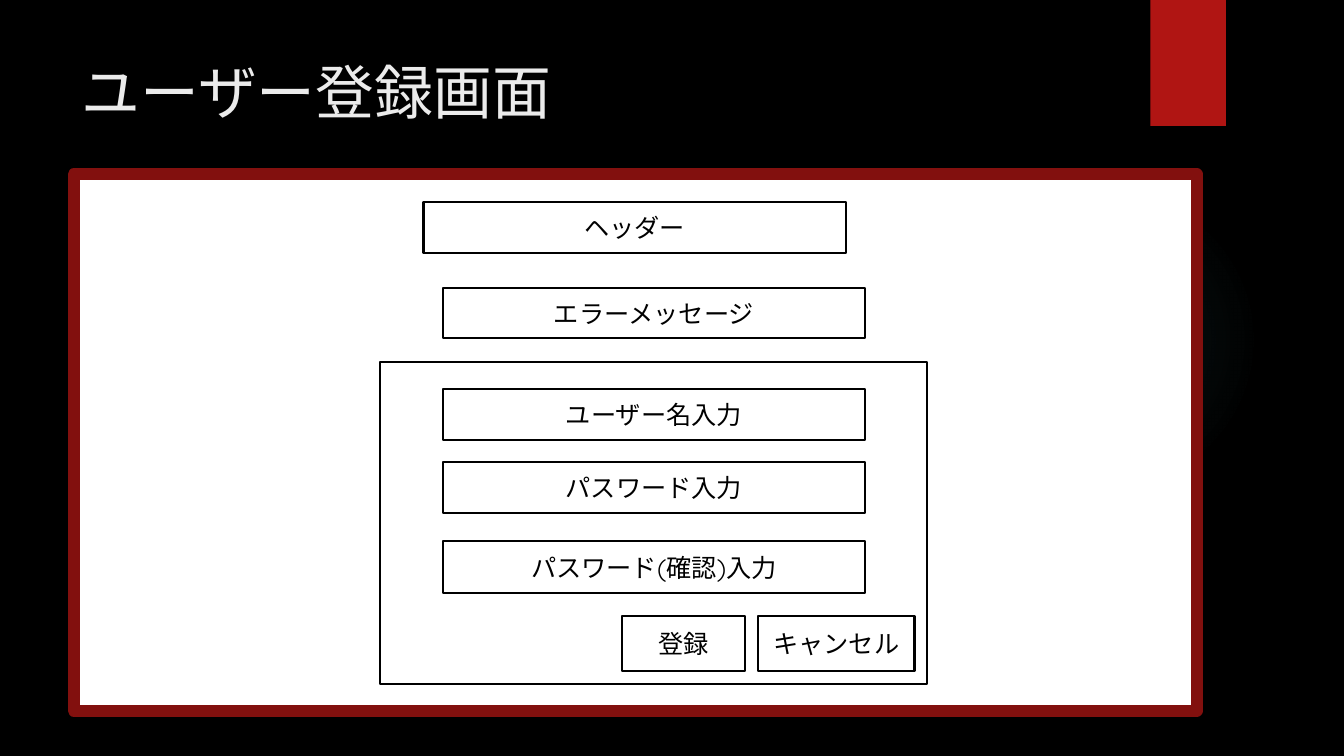
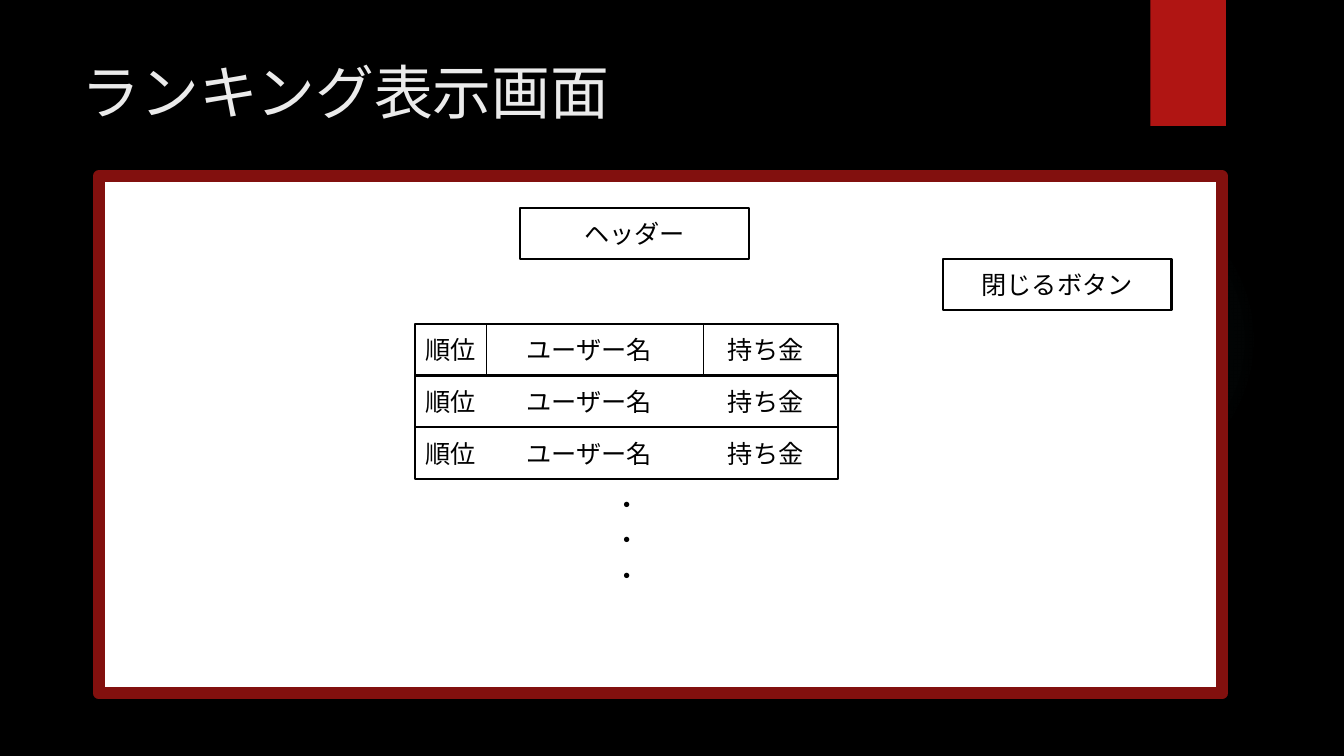
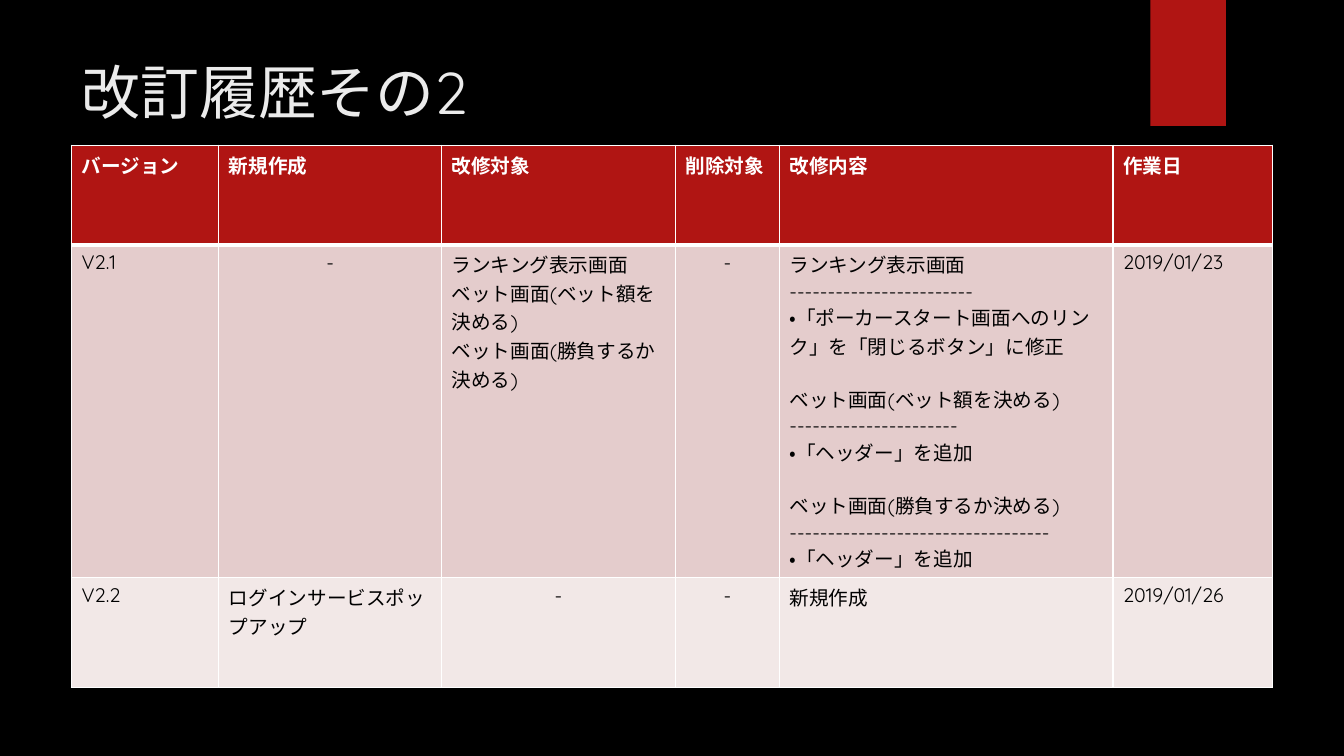
import pptx
import pptx.dml.color
import pptx.enum.dml
import pptx.enum.lang
import pptx.enum.shapes
import pptx.enum.text
import pptx.oxml
import pptx.oxml.ns
import pptx.util
from pptx.util import Inches

COLORS = {
    "background": "000000", "title": "EBEBEB", "band": "B01513",
    "frame": "82100E", "white": "FFFFFF", "ink": "000000",
    "glow": "50B9C1", "row_dark": "E4CCCC", "row_light": "F2E8E7",
}
FONT = "Quicksand"
NAMESPACE = pptx.oxml.ns.nsdecls("a")
SHAPES = pptx.enum.shapes.MSO_SHAPE
ALIGN = pptx.enum.text.PP_ALIGN
MIDDLE = pptx.enum.text.MSO_ANCHOR.MIDDLE


def rgb(color):
    return pptx.dml.color.RGBColor.from_string(COLORS[color])


class Deck:
    """Holds the shared style and the slide being built."""

    def __init__(self):
        self.presentation = pptx.Presentation()
        self.presentation.slide_width = Inches(13.33)
        self.presentation.slide_height = Inches(7.5)
        fill = self.presentation.slide_master.background.fill
        fill.solid()
        fill.fore_color.rgb = rgb("background")
        self.slide = None

    def new_slide(self, title):
        layout = self.presentation.slide_layouts.get_by_name("Title Only")
        self.slide = self.presentation.slides.add_slide(layout)
        self.glow(9.41, 1.83, 3.08)
        self.shape(11.41, 0, 0.75, 1.25, fill="band")
        placeholder = self.slide.shapes.title
        placeholder.left, placeholder.top = Inches(0.71), Inches(0.5)
        placeholder.width, placeholder.height = Inches(10.29), Inches(1.53)
        frame = placeholder.text_frame
        frame.auto_size = pptx.enum.text.MSO_AUTO_SIZE.NONE
        frame.vertical_anchor = pptx.enum.text.MSO_ANCHOR.TOP
        paragraph = frame.paragraphs[0]
        paragraph.alignment = ALIGN.LEFT
        self.run(paragraph, title, 42, "title")

    def run(self, paragraph, text, size=18, color="ink", bold=False):
        run = paragraph.add_run()
        run.text = text
        font = run.font
        font.name, font.size, font.bold = FONT, pptx.util.Pt(size), bold
        font.color.rgb = rgb(color)
        font.language_id = pptx.enum.lang.MSO_LANGUAGE_ID.JAPANESE

    def shape(self, left, top, width, height, fill=None, line=None,
              line_width=1.5, kind=SHAPES.RECTANGLE):
        shape = self.slide.shapes.add_shape(
            kind, Inches(left), Inches(top), Inches(width), Inches(height))
        shape.shadow.inherit = False
        if fill:
            shape.fill.solid()
            shape.fill.fore_color.rgb = rgb(fill)
        else:
            shape.fill.background()
        if line:
            shape.line.color.rgb = rgb(line)
            shape.line.width = pptx.util.Pt(line_width)
        else:
            shape.line.fill.background()
        return shape

    def glow(self, left, top, size):
        """Faint round light, fading out from its centre."""
        shape = self.shape(left, top, size, size, kind=SHAPES.OVAL)
        stops = "".join(
            f'<a:gs pos="{position}000"><a:srgbClr val="{COLORS["glow"]}">'
            f'<a:alpha val="{alpha}000"/></a:srgbClr></a:gs>'
            for position, alpha in ((0, 7), (36, 6), (69, 0), (100, 0)))
        gradient = pptx.oxml.parse_xml(
            f'<a:gradFill {NAMESPACE}><a:gsLst>{stops}</a:gsLst>'
            '<a:path path="circle"><a:fillToRect l="50000" t="50000" '
            'r="50000" b="50000"/></a:path></a:gradFill>')
        properties = shape.element.spPr
        properties.replace(
            properties.find(pptx.oxml.ns.qn("a:noFill")), gradient)

    def screen(self, left, top, width, height):
        self.shape(left, top, width, height, "white", "frame", 8.5)

    def box(self, left, top, width, height, text):
        shape = self.shape(left, top, width, height, line="ink")
        self.label(shape, text, ALIGN.CENTER)

    def label(self, shape, text, alignment):
        frame = shape.text_frame
        frame.word_wrap = True
        frame.vertical_anchor = MIDDLE
        paragraph = frame.paragraphs[0]
        paragraph.alignment = alignment
        self.run(paragraph, text)
        return paragraph

    def text(self, left, top, width, height, text):
        box = self.slide.shapes.add_textbox(
            Inches(left), Inches(top), Inches(width), Inches(height))
        self.label(box, text, ALIGN.CENTER)

    def tabbed_row(self, left, top, width, height, entries, stops):
        shape = self.shape(left, top, width, height, line="ink")
        paragraph = self.label(shape, "\t".join(entries), ALIGN.LEFT)
        tabs = "".join(f'<a:tab pos="{Inches(stop)}" algn="l"/>'
                       for stop in stops)
        paragraph._p.get_or_add_pPr().append(pptx.oxml.parse_xml(
            f'<a:tabLst {NAMESPACE}>{tabs}</a:tabLst>'))

    def vertical_line(self, x, top, bottom):
        line = self.slide.shapes.add_connector(
            pptx.enum.shapes.MSO_CONNECTOR.STRAIGHT,
            Inches(x), Inches(top), Inches(x), Inches(bottom))
        line.line.color.rgb = rgb("ink")
        line.line.width = pptx.util.Pt(0.75)
        line.element.spPr.append(
            pptx.oxml.parse_xml(f'<a:effectLst {NAMESPACE}/>'))

    def table(self, left, top, widths, heights, rows, fills):
        table = self.slide.shapes.add_table(
            len(rows), len(widths), Inches(left), Inches(top),
            Inches(sum(widths)), Inches(sum(heights))).table
        table.first_row = table.horz_banding = False
        for column, width in zip(table.columns, widths):
            column.width = Inches(width)
        for index, (entries, height) in enumerate(zip(rows, heights)):
            table.rows[index].height = Inches(height)
            borders = {"L": 1, "R": 1, "T": 3 if index == 1 else 1,
                       "B": 3 if index == 0 else 1}
            for column, entry in enumerate(entries):
                cell = table.cell(index, column)
                self.cell(cell, entry, index == 0, fills[index], borders)

    def cell(self, cell, text, header, fill, borders):
        """Groups of lines split by an empty line stand one line apart."""
        properties = cell._tc.get_or_add_tcPr()
        for side, width in borders.items():
            properties.append(pptx.oxml.parse_xml(
                f'<a:ln{side} {NAMESPACE} w="{pptx.util.Pt(width)}">'
                f'<a:solidFill><a:srgbClr val="{COLORS["white"]}"/>'
                f'</a:solidFill></a:ln{side}>'))
        cell.fill.solid()
        cell.fill.fore_color.rgb = rgb(fill)
        paragraph = None
        for group_index, group in enumerate(text.split("\n\n")):
            for line_index, line in enumerate(group.split("\n")):
                paragraph = (cell.text_frame.add_paragraph() if paragraph
                             else cell.text_frame.paragraphs[0])
                paragraph.alignment = ALIGN.CENTER if line == "-" else ALIGN.LEFT
                if group_index and not line_index:
                    paragraph.space_before = pptx.util.Pt(17.5)
                self.run(paragraph, line, 14, "white" if header else "ink", header)


def registration_slide(deck):
    deck.new_slide("ユーザー登録画面")
    deck.screen(0.73, 1.73, 11.14, 5.32)
    deck.box(4.2, 2, 4.19, 0.51, "ヘッダー")
    deck.box(4.39, 2.86, 4.19, 0.49, "エラーメッセージ")
    deck.shape(3.77, 3.59, 5.42, 3.2, line="ink")
    for top, field in ((3.86, "ユーザー名入力"), (4.58, "パスワード入力"),
                       (5.37, "パスワード(確認)入力")):
        deck.box(4.39, top, 4.19, 0.51, field)
    for left, width, button in ((6.17, 1.22, "登録"), (7.52, 1.55, "キャンセル")):
        deck.box(left, 6.11, width, 0.55, button)


def ranking_slide(deck):
    left, top, width, height = 4.12, 3.21, 4.19, 0.51
    deck.new_slide("ランキング表示画面")
    deck.screen(0.98, 1.75, 11.14, 5.13)
    deck.box(5.16, 2.06, 2.27, height, "ヘッダー")
    deck.box(9.35, 2.57, 2.27, height, "閉じるボタン")
    for index in range(3):
        deck.tabbed_row(left, top + index * 0.515, width, height,
                        ("順位", "ユーザー名", "持ち金"), (1, 3))
        deck.text(left, 4.75 + index * 0.35, width, height, "・")
    for x in (4.83, 6.98):
        deck.vertical_line(x, top, top + height)


def history_slide(deck):
    deck.new_slide("改訂履歴その2")
    ranking = "ランキング表示画面"
    bet_amount = "ベット画面(ベット額を決める)"
    bet_play = "ベット画面(勝負するか決める)"
    header_added = "・「ヘッダー」を追加"
    changes = "\n\n".join(
        f"{screen}\n{'-' * dashes}\n{change}" for screen, dashes, change in (
            (ranking, 24, "・「ポーカースタート画面へのリンク」を「閉じるボタン」に修正"),
            (bet_amount, 22, header_added),
            (bet_play, 34, header_added)))
    rows = (
        ("バージョン", "新規作成", "改修対象", "削除対象", "改修内容", "作業日"),
        ("V2.1", "-", "\n".join((ranking, bet_amount, bet_play)), "-",
         changes, "2019/01/23"),
        ("V2.2", "ログインサービスポップアップ", "-", "-", "新規作成",
         "2019/01/26"),
    )
    deck.table(0.71, 1.44, (1.46, 2.21, 2.32, 1.03, 3.31, 1.58),
               (0.99, 3.29, 1.09), rows, ("band", "row_dark", "row_light"))


def main():
    deck = Deck()
    registration_slide(deck)
    ranking_slide(deck)
    history_slide(deck)
    deck.presentation.save("out.pptx")


if __name__ == "__main__":
    main()
